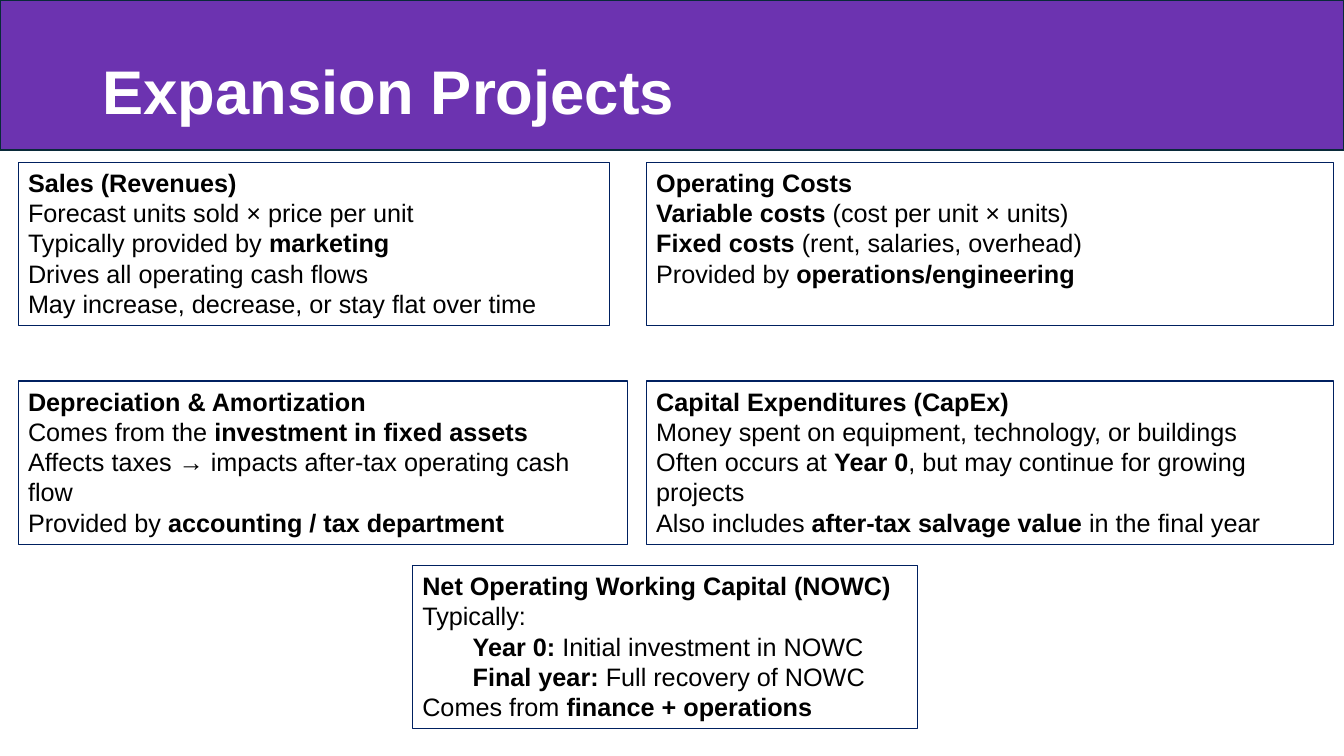
import pptx
import pptx.dml.color
import pptx.enum.shapes
import pptx.enum.text
import pptx.util

Inches = pptx.util.Inches
Pt = pptx.util.Pt


def color(hex_string):
    return pptx.dml.color.RGBColor.from_string(hex_string)


def write_line(paragraph, text, size, hex_string):
    """Fill a paragraph; stretches between ** marks become bold."""
    for index, part in enumerate(text.split("**")):
        if part:
            run = paragraph.add_run()
            run.text = part
            run.font.bold = index % 2 == 1
    paragraph.font.name = "Arial"
    paragraph.font.size = Pt(size)
    paragraph.font.color.rgb = color(hex_string)


LEFT, RIGHT = 0.18, 6.41
TOP, MIDDLE, BOTTOM = 1.61, 3.78, 5.61
CARD_HEIGHT = 1.62

# left, top, width, lines; a leading tab marks an indented line
cards = [
    (LEFT, TOP, 5.87, [
        "**Sales (Revenues)**",
        "Forecast units sold × price per unit",
        "Typically provided by **marketing**",
        "Drives all operating cash flows",
        "May increase, decrease, or stay flat over time",
    ]),
    (RIGHT, TOP, 6.82, [
        "**Operating Costs**",
        "**Variable costs** (cost per unit × units)",
        "**Fixed costs** (rent, salaries, overhead)",
        "Provided by **operations/engineering**",
    ]),
    (LEFT, MIDDLE, 6.04, [
        "**Depreciation & Amortization**",
        "Comes from the **investment in fixed assets**",
        "Affects taxes → impacts after-tax operating cash flow",
        "Provided by **accounting / tax department**",
    ]),
    (RIGHT, MIDDLE, 6.82, [
        "**Capital Expenditures (CapEx)**",
        "Money spent on equipment, technology, or buildings",
        "Often occurs at **Year 0**, but may continue for growing projects",
        "Also includes **after-tax salvage value** in the final year",
    ]),
    (4.09, BOTTOM, 5.01, [
        "**Net Operating Working Capital (NOWC)**",
        "Typically:",
        "\t**Year 0:** Initial investment in NOWC",
        "\t**Final year:** Full recovery of NOWC",
        "Comes from **finance + operations**",
    ]),
]

deck = pptx.Presentation()
deck.slide_width = Inches(13.33)
deck.slide_height = Inches(7.5)
slide = deck.slides.add_slide(deck.slide_layouts[6])

banner = slide.shapes.add_shape(
    pptx.enum.shapes.MSO_SHAPE.RECTANGLE, 0, 0, deck.slide_width, Inches(1.49))
banner.shadow.inherit = False
banner.fill.solid()
banner.fill.fore_color.rgb = color("6C33B0")
banner.line.color.rgb = color("092A39")
banner.line.width = Pt(1.5)

title = slide.shapes.add_textbox(Inches(0.92), Inches(0.4), Inches(11.91), Inches(1.07))
title.text_frame.word_wrap = True
title.text_frame.vertical_anchor = pptx.enum.text.MSO_ANCHOR.MIDDLE
heading = title.text_frame.paragraphs[0]
heading.line_spacing = 0.9
write_line(heading, "**Expansion Projects**", 44, "FFFFFF")

for left, top, width, lines in cards:
    card = slide.shapes.add_textbox(
        Inches(left), Inches(top), Inches(width), Inches(CARD_HEIGHT))
    card.line.color.rgb = color("002060")
    card.line.width = Pt(0.75)
    frame = card.text_frame
    frame.word_wrap = True
    for number, line in enumerate(lines):
        paragraph = frame.add_paragraph() if number else frame.paragraphs[0]
        if line.startswith("\t"):
            paragraph.level = 1
            properties = paragraph._p.get_or_add_pPr()
            properties.set("marL", str(Inches(0.5)))
            properties.set("indent", "0")
        write_line(paragraph, line.lstrip("\t"), 18, "000000")

deck.save("out.pptx")
